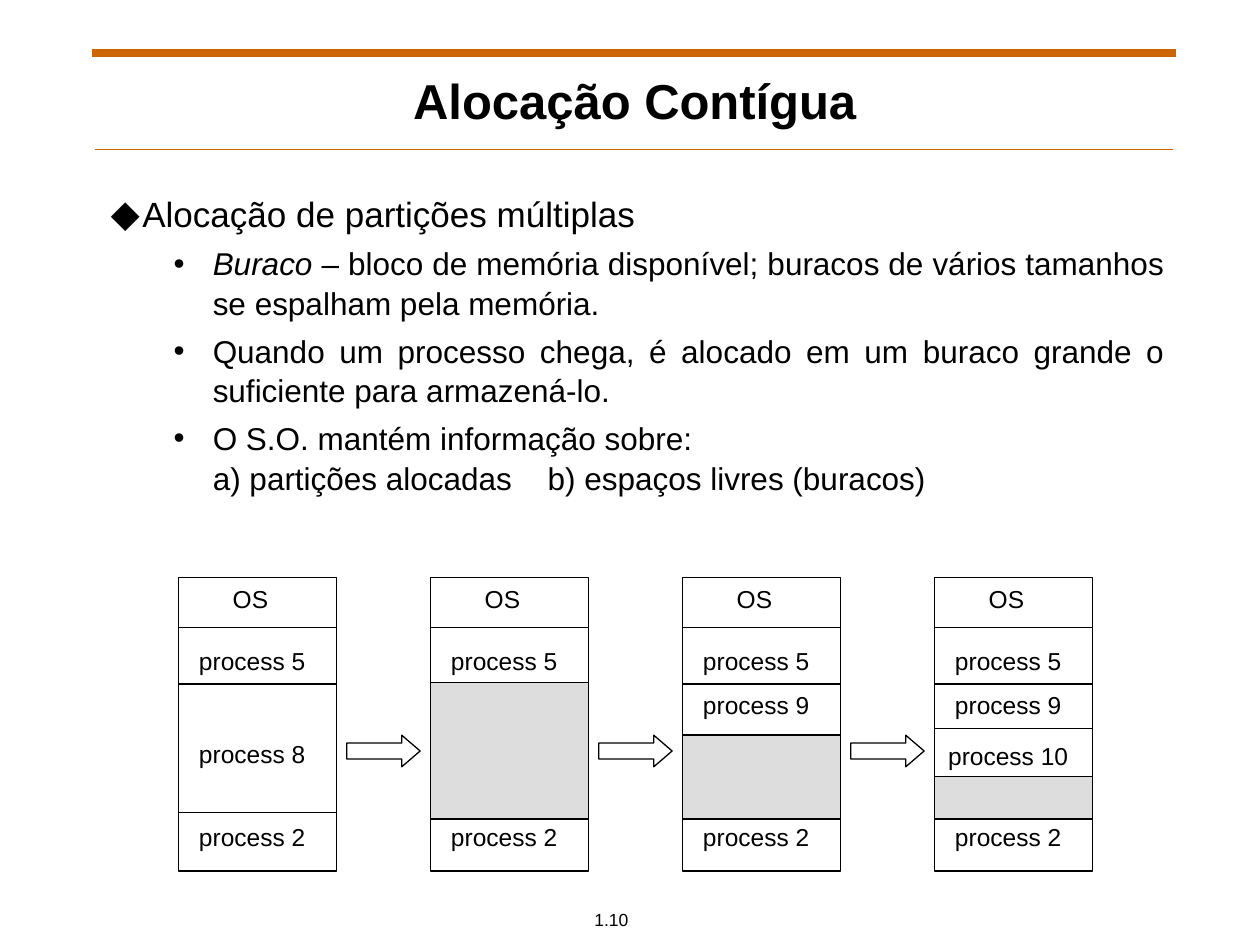
from dataclasses import dataclass

from lxml.etree import SubElement
from pptx import Presentation
from pptx.dml.color import RGBColor
from pptx.enum.shapes import MSO_CONNECTOR, MSO_SHAPE
from pptx.enum.text import MSO_ANCHOR, PP_ALIGN
from pptx.oxml.ns import qn
from pptx.util import Cm, Pt


@dataclass(frozen=True)
class Theme:
    font: str = "Arial"
    ink: str = "000000"
    paper: str = "FFFFFF"
    accent: str = "CC6600"
    hole: str = "DDDDDD"
    title: float = 28
    heading: float = 20
    body: float = 18
    label: float = 14
    footer: float = 10
    thin: float = 0.75
    thick: float = 4.5


@dataclass(frozen=True)
class Column:
    """One memory snapshot: dividers and label tops in cm, hole as (top, bottom)."""
    dividers: tuple
    labels: tuple
    hole: tuple = ()


COLUMN_LEFT, COLUMN_TOP = 3.6, 11.64
COLUMN_WIDTH, COLUMN_HEIGHT, COLUMN_PITCH = 3.18, 5.92, 5.08
OS_END, P5_END, P8_END, HOLE_END = 12.65, 13.79, 16.38, 16.51
COMMON_LABELS = (("process 5", 12.88), ("process 2", 16.43))
PROCESS_9 = ("process 9", 13.77)

COLUMNS = (
    Column((OS_END, P5_END, P8_END), (("process 8", 14.76),)),
    Column((OS_END,), (), (13.76, HOLE_END)),
    Column((OS_END, P5_END), (PROCESS_9,), (14.82, HOLE_END)),
    Column((OS_END, P5_END, 14.69), (PROCESS_9, ("process 10", 14.81)), (15.66, HOLE_END)),
)

HEADING = "Alocação de partições múltiplas"
# Each bullet: alignment and its (text, italic) runs.
BULLETS = (
    (PP_ALIGN.JUSTIFY, (
        ("Buraco", True),
        (" – bloco de memória disponível; buracos de vários tamanhos "
         "se espalham pela memória.", False))),
    (PP_ALIGN.JUSTIFY, (
        ("Quando um processo chega, é alocado em um buraco grande "
         "o suficiente para armazená-lo.", False),)),
    (PP_ALIGN.LEFT, (
        ("O S.O. mantém informação sobre:\n"
         "a) partições alocadas\tb) espaços livres (buracos)", False),)),
)


class Deck:
    def __init__(self, theme):
        self.theme = theme
        self.prs = Presentation()
        self.prs.slide_width, self.prs.slide_height = Cm(25.4), Cm(19.05)
        self.s = self.prs.slides.add_slide(self.prs.slide_layouts[6])

    def style(self, p, size, bold=False):
        for r in p.runs:
            r.font.name, r.font.size, r.font.bold = self.theme.font, Pt(size), bold
            r.font.color.rgb = RGBColor.from_string(self.theme.ink)

    def frame(self, x, y, w, h, anchor=MSO_ANCHOR.MIDDLE):
        tf = self.s.shapes.add_textbox(Cm(x), Cm(y), Cm(w), Cm(h)).text_frame
        tf.word_wrap = True
        tf.vertical_anchor = anchor
        return tf

    def text(self, text, x, y, w, h, size, bold=False):
        tf = self.frame(x, y, w, h)
        tf.text = text
        p = tf.paragraphs[0]
        p.alignment = PP_ALIGN.CENTER
        self.style(p, size, bold)

    def line(self, x1, x2, y, color, width):
        sp = self.s.shapes.add_connector(MSO_CONNECTOR.STRAIGHT, Cm(x1), Cm(y), Cm(x2), Cm(y))
        sp.line.color.rgb = RGBColor.from_string(color)
        sp.line.width = Pt(width)
        SubElement(sp._element.spPr, qn("a:effectLst"))

    def shape(self, kind, x, y, w, h, fill):
        sp = self.s.shapes.add_shape(kind, Cm(x), Cm(y), Cm(w), Cm(h))
        sp.shadow.inherit = False
        sp.fill.solid()
        sp.fill.fore_color.rgb = RGBColor.from_string(fill)
        sp.line.color.rgb = RGBColor.from_string(self.theme.ink)
        sp.line.width = Pt(self.theme.thin)
        return sp

    def bullet(self, p, char, indent, hanging, percent=100, tabs=()):
        pPr = p._p.get_or_add_pPr()
        pPr.set("marL", str(Cm(indent)))
        pPr.set("indent", str(-Cm(hanging)))
        SubElement(SubElement(pPr, qn("a:buClr")), qn("a:srgbClr"), val=self.theme.ink)
        SubElement(pPr, qn("a:buSzPct"), val=str(percent * 1000))
        SubElement(pPr, qn("a:buFont"), typeface=self.theme.font)
        SubElement(pPr, qn("a:buChar"), char=char)
        if tabs:
            tab_list = SubElement(pPr, qn("a:tabLst"))
            for tab in tabs:
                SubElement(tab_list, qn("a:tab"), pos=str(Cm(tab)), algn="l")

    def body(self, heading, bullets, x, y, w, h):
        tf = self.frame(x, y, w, h, MSO_ANCHOR.TOP)
        tf.text = heading
        p = tf.paragraphs[0]
        self.bullet(p, "⬥", 0.64, 0.64, 120)
        self.style(p, self.theme.heading)
        for alignment, runs in bullets:
            p = tf.add_paragraph()
            p.level, p.alignment = 1, alignment
            p.space_before, p.line_spacing = Pt(4.5), 1.05
            p.text = runs[0][0]
            for text, _ in runs[1:]:
                p.add_run().text = text
            # Same stop measured from the indent and from the frame edge.
            tabs = (6.76, 8.81) if "\t" in p.text else ()
            self.bullet(p, "•", 2.06, 0.79, tabs=tabs)
            self.style(p, self.theme.body)
            if runs[0][1]:
                p.runs[0].font.italic = True

    def column(self, x, column):
        t = self.theme
        self.shape(MSO_SHAPE.RECTANGLE, x, COLUMN_TOP, COLUMN_WIDTH, COLUMN_HEIGHT, t.paper)
        for y in column.dividers:
            self.line(x, x + COLUMN_WIDTH, y, t.ink, t.thin)
        if column.hole:
            top, bottom = column.hole
            self.shape(MSO_SHAPE.RECTANGLE, x, top, COLUMN_WIDTH, bottom - top, t.hole)
        self.text("OS", x + 0.84, COLUMN_TOP, 1.22, 0.86, t.label)
        for text, y in COMMON_LABELS + column.labels:
            self.text(text, x, y, 2.97, 0.86, t.label)

    def arrow(self, x, y):
        sp = self.shape(MSO_SHAPE.RIGHT_ARROW, x, y, 1.48, 0.64, self.theme.paper)
        sp.adjustments[0], sp.adjustments[1] = 0.5, 0.58


def main():
    t = Theme()
    deck = Deck(t)
    deck.line(1.86, 23.7, 1.06, t.accent, t.thick)
    deck.line(1.91, 23.64, 3.02, t.accent, t.thin)
    deck.text("Alocação Contígua", 3.23, 1.37, 19.13, 1.27, t.title, bold=True)
    deck.body(HEADING, BULLETS, 1.98, 3.76, 21.74, 7.9)
    for i, column in enumerate(COLUMNS):
        x = COLUMN_LEFT + i * COLUMN_PITCH
        deck.column(x, column)
        if i:
            deck.arrow(x - 1.69, 14.82)
    deck.text("1.10", 11.13, 18.19, 2.39, 0.69, t.footer)
    deck.prs.save("out.pptx")


if __name__ == "__main__":
    main()
